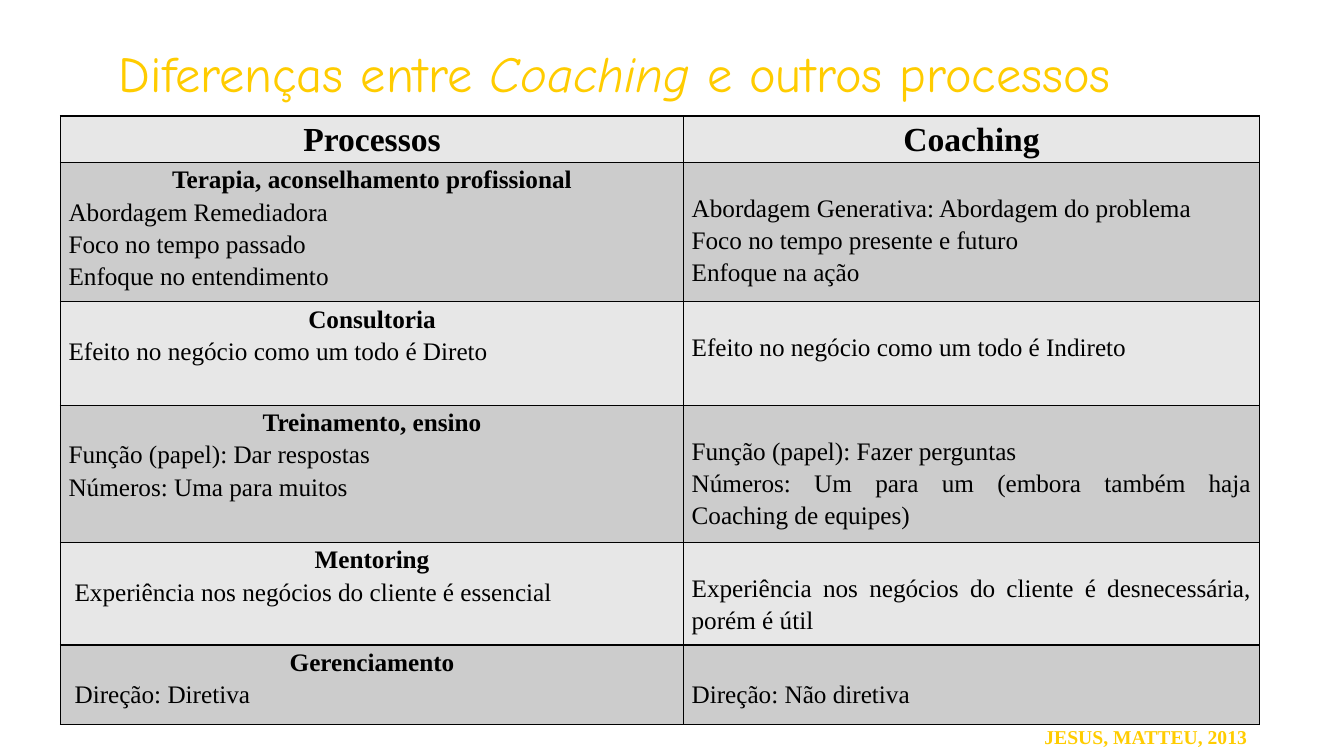
from dataclasses import dataclass

from lxml.etree import SubElement
from pptx import Presentation
from pptx.dml.color import RGBColor
from pptx.enum.text import MSO_ANCHOR as Anchor, MSO_AUTO_SIZE as AutoSize, PP_ALIGN as Align
from pptx.oxml.ns import qn
from pptx.slide import Slide
from pptx.table import _Cell as Cell
from pptx.text.text import _Paragraph as Paragraph
from pptx.util import Inches, Pt


@dataclass(frozen=True)
class Theme:
    title_font: str = "Comic Neue"
    body_font: str = "Times New Roman"
    accent: str = "FFCC00"
    ink: str = "000000"
    light: str = "E7E7E7"
    dark: str = "CCCCCC"
    title_size: int = 36
    heading_size: int = 24
    body_size: int = 18
    source_size: int = 14
    line_spacing: float = 1.15


@dataclass(frozen=True)
class Comparison:
    process: str
    process_lines: tuple[str, ...]
    coaching_lines: tuple[str, ...]
    height: float
    indent: float = 0
    coaching_top: float = 0.28


THEME = Theme()
COLUMN_WIDTHS = (6.18, 5.71)
HEADING_HEIGHT = 0.45
COMPARISONS = (
    Comparison(
        "Terapia, aconselhamento profissional",
        ("Abordagem Remediadora", "Foco no tempo passado", "Enfoque no entendimento"),
        ("Abordagem Generativa: Abordagem do problema", "Foco no tempo presente e futuro", "Enfoque na ação"),
        1.38,
    ),
    Comparison(
        "Consultoria",
        ("Efeito no negócio como um todo é Direto",),
        ("Efeito no negócio como um todo é Indireto",),
        1.03,
    ),
    Comparison(
        "Treinamento, ensino",
        ("Função (papel): Dar respostas", "Números: Uma para muitos"),
        ("Função (papel): Fazer perguntas", "Números: Um para um (embora também haja Coaching de equipes)"),
        1.36,
    ),
    Comparison(
        "Mentoring",
        ("Experiência nos negócios do cliente é essencial",),
        ("Experiência nos negócios do cliente é desnecessária, porém é útil",),
        1.02,
        indent=0.06,
    ),
    Comparison(
        "Gerenciamento",
        ("Direção: Diretiva",),
        ("Direção: Não diretiva",),
        0.79,
        indent=0.06,
        coaching_top=0.32,
    ),
)


def add_run(paragraph: Paragraph, text: str, font: str, size: int, color: str,
            bold: bool = False, italic: bool = False) -> None:
    run = paragraph.add_run()
    run.text = text
    run.font.name = font
    run.font.size = Pt(size)
    run.font.bold = bold
    run.font.italic = italic
    run.font.color.rgb = RGBColor.from_string(color)


def add_title(slide: Slide) -> None:
    title = slide.shapes.title
    title.left, title.top = Inches(1.08), Inches(0.37)
    title.width, title.height = Inches(11.11), Inches(0.71)
    frame = title.text_frame
    frame.vertical_anchor = Anchor.TOP
    frame.auto_size = AutoSize.SHAPE_TO_FIT_TEXT
    paragraph = frame.paragraphs[0]
    paragraph.alignment = Align.LEFT
    for text, italic in (("Diferenças entre ", False), ("Coaching ", True), ("e outros processos", False)):
        add_run(paragraph, text, THEME.title_font, THEME.title_size, THEME.accent, italic=italic)


def format_cell(cell: Cell, fill: str, top: float = 0) -> None:
    cell.margin_left = cell.margin_right = Inches(0.08)
    cell.margin_top, cell.margin_bottom = Inches(top), 0
    cell.vertical_anchor = Anchor.TOP
    properties = cell._tc.get_or_add_tcPr()
    for side in ("a:lnL", "a:lnR", "a:lnT", "a:lnB"):
        line = SubElement(properties, qn(side), w=str(Pt(1)))
        line_fill = SubElement(line, qn("a:solidFill"))
        SubElement(line_fill, qn("a:srgbClr"), val=THEME.ink)
    cell.fill.solid()
    cell.fill.fore_color.rgb = RGBColor.from_string(fill)


def write_line(paragraph: Paragraph, text: str, size: int, heading: bool, indent: float = 0) -> None:
    paragraph.alignment = Align.CENTER if heading else Align.JUSTIFY
    paragraph.line_spacing = THEME.line_spacing
    if indent:
        paragraph._p.get_or_add_pPr().set("marL", str(Inches(indent)))
    add_run(paragraph, text, THEME.body_font, size, THEME.ink, bold=heading)


def write_lines(cell: Cell, lines: tuple[str, ...], has_heading: bool, indent: float = 0) -> None:
    frame = cell.text_frame
    for index, text in enumerate(lines):
        paragraph = frame.add_paragraph() if index else frame.paragraphs[0]
        heading = has_heading and index == 0
        write_line(paragraph, text, THEME.body_size, heading, 0 if heading else indent)


def add_comparison_table(slide: Slide) -> None:
    heights = (HEADING_HEIGHT, *(comparison.height for comparison in COMPARISONS))
    table = slide.shapes.add_table(
        len(heights), len(COLUMN_WIDTHS), Inches(0.6), Inches(1.15),
        Inches(sum(COLUMN_WIDTHS)), Inches(sum(heights)),
    ).table
    for column, width in zip(table.columns, COLUMN_WIDTHS):
        column.width = Inches(width)
    for row, height in zip(table.rows, heights):
        row.height = Inches(height)
    for column, heading in enumerate(("Processos", "Coaching")):
        cell = table.cell(0, column)
        format_cell(cell, THEME.light)
        write_line(cell.text_frame.paragraphs[0], heading, THEME.heading_size, heading=True)
    for row, comparison in enumerate(COMPARISONS, start=1):
        fill = THEME.dark if row % 2 else THEME.light
        process_cell, coaching_cell = table.cell(row, 0), table.cell(row, 1)
        format_cell(process_cell, fill)
        write_lines(process_cell, (comparison.process, *comparison.process_lines), True, comparison.indent)
        format_cell(coaching_cell, fill, comparison.coaching_top)
        write_lines(coaching_cell, comparison.coaching_lines, False)


def add_source(slide: Slide) -> None:
    box = slide.shapes.add_textbox(Inches(10.26), Inches(7.14), Inches(2.23), Inches(0.34))
    frame = box.text_frame
    frame.word_wrap = False
    frame.auto_size = AutoSize.SHAPE_TO_FIT_TEXT
    add_run(frame.paragraphs[0], "JESUS, MATTEU, 2013", THEME.body_font, THEME.source_size,
            THEME.accent, bold=True)


def main() -> None:
    presentation = Presentation()
    presentation.slide_width, presentation.slide_height = Inches(13.33), Inches(7.5)
    slide = presentation.slides.add_slide(presentation.slide_layouts.get_by_name("Title Only"))
    add_comparison_table(slide)
    add_title(slide)
    add_source(slide)
    presentation.save("out.pptx")


if __name__ == "__main__":
    main()
